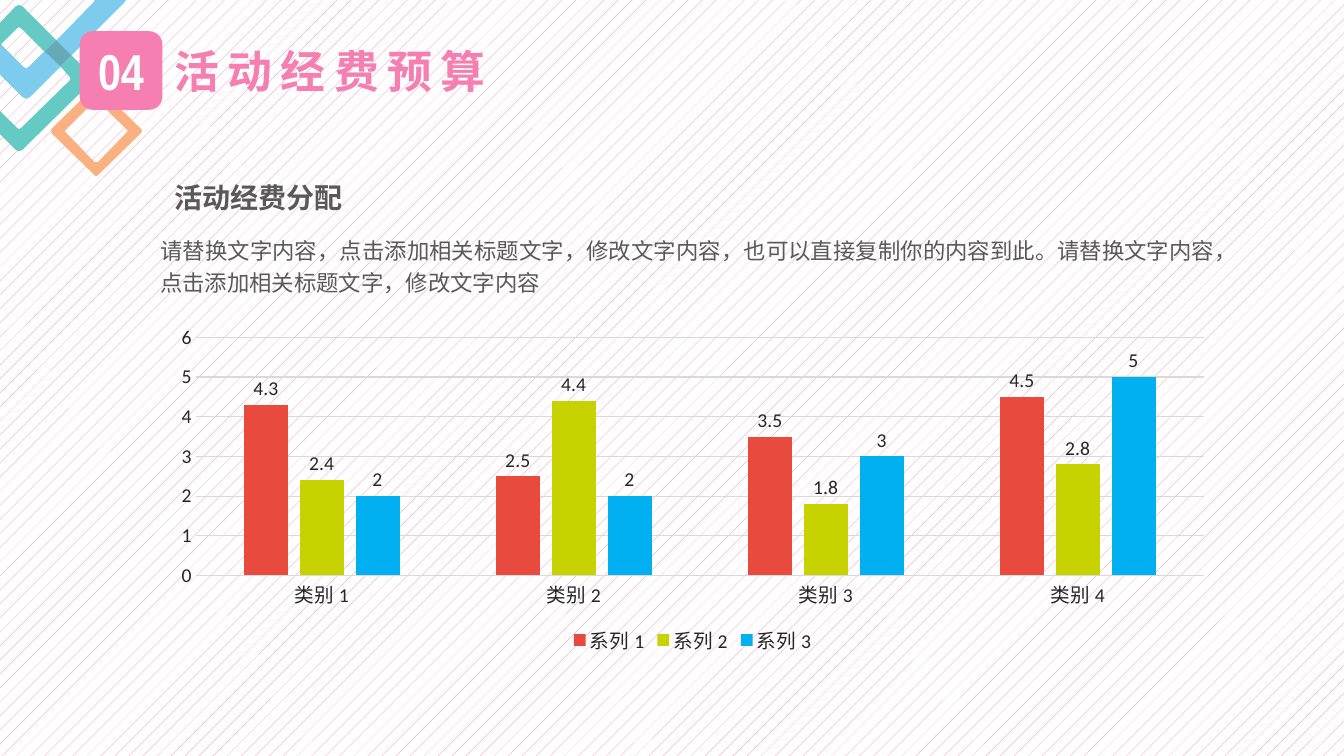
import pptx
import pptx.util
import pptx.dml.color
import pptx.chart.data
import pptx.enum.chart
import pptx.enum.dml
import pptx.enum.shapes
import pptx.enum.text
import pptx.oxml.ns
import lxml.etree

Inches = pptx.util.Inches
RGBColor = pptx.dml.color.RGBColor
ALIGN = pptx.enum.text.PP_ALIGN
ANCHOR = pptx.enum.text.MSO_ANCHOR

PINK = RGBColor(0xF5, 0x7F, 0xB0)
WHITE = RGBColor(0xFF, 0xFF, 0xFF)
BLUE = RGBColor(0x7D, 0xCC, 0xED)
TEAL = RGBColor(0x66, 0xCA, 0xC4)
OVERLAP = RGBColor(0x66, 0xA9, 0xB9)
ORANGE = RGBColor(0xFA, 0xB0, 0x81)
GREY = RGBColor(0x59, 0x59, 0x59)
DARK = RGBColor(0x26, 0x26, 0x26)
GRID = RGBColor(0xD9, 0xD9, 0xD9)
SERIES_COLORS = [RGBColor(0xE8, 0x4B, 0x3D), RGBColor(0xC7, 0xD3, 0x00), RGBColor(0x00, 0xB0, 0xF0)]
CJK_FONT = "Noto Sans CJK SC"


def write_text(shape, text, size, color, font="Arial", bold=False, align=ALIGN.LEFT,
               anchor=ANCHOR.TOP, inset=None, wrap=True, line_spacing=None, tracking=0):
    frame = shape.text_frame
    frame.word_wrap = wrap
    frame.auto_size = pptx.enum.text.MSO_AUTO_SIZE.SHAPE_TO_FIT_TEXT
    frame.vertical_anchor = anchor
    if inset is not None:
        frame.margin_left = frame.margin_right = Inches(inset)
        frame.margin_top = frame.margin_bottom = Inches(inset)
    paragraph = frame.paragraphs[0]
    paragraph.alignment = align
    if line_spacing:
        paragraph.line_spacing = line_spacing
    run = paragraph.add_run()
    run.text = text
    run.font.size = pptx.util.Pt(size)
    run.font.name = font
    run.font.bold = bold
    run.font.color.rgb = color
    properties = run.font._element
    if tracking:
        properties.set("spc", str(tracking * 100))
    east_asian = lxml.etree.Element(pptx.oxml.ns.qn("a:ea"), typeface=CJK_FONT)
    properties.find(pptx.oxml.ns.qn("a:latin")).addnext(east_asian)


presentation = pptx.Presentation()
presentation.slide_width = Inches(13.33)
presentation.slide_height = Inches(7.5)
slide = presentation.slides.add_slide(presentation.slide_layouts[5])

# Patterned background
background = slide.background.fill
background.patterned()
background.pattern = pptx.enum.dml.MSO_PATTERN.PERCENT_5
background.fore_color.rgb = PINK
background.back_color.rgb = WHITE

# Corner diamonds: outlines in hundredths of an inch
blue_outlines = [
    [(1, 44), (-14, 60), (22, 96), (26, 98), (30, 96), (60, 66), (44, 51), (29, 66), (26, 68), (23, 66)],
    [(-29, -47), (-71, -5), (-73, -1), (-71, 3), (-26, 48), (-10, 33), (-41, 2), (-42, -1),
     (-41, -3), (-14, -31)],
    [(75, -53), (59, -37), (93, -3), (94, 0), (93, 2), (56, 40), (71, 55), (123, 3), (125, -1), (123, -5)],
    [(26, -99), (22, -98), (-14, -62), (2, -47), (23, -68), (26, -69), (29, -68), (44, -53),
     (59, -68), (30, -98)],
]
teal_outlines = [
    [(-26, 48), (-52, 75), (-54, 78), (-52, 81), (16, 149), (19, 150), (22, 149), (91, 81), (92, 78),
     (91, 75), (71, 55), (60, 66), (69, 76), (70, 78), (69, 80), (21, 127), (19, 128), (17, 127),
     (-30, 80), (-31, 78), (-30, 76), (-14, 60)],
    [(19, 5), (16, 6), (-10, 33), (1, 44), (17, 28), (19, 27), (21, 28), (44, 51), (56, 40), (22, 6)],
]
overlap_outlines = [
    [(56, 40), (44, 51), (60, 66), (71, 55)],
    [(-10, 33), (-26, 48), (-14, 60), (1, 44)],
]
orange_outlines = [
    [(95, 161), (94, 161), (65, 131), (64, 130), (65, 129), (94, 100), (95, 99), (97, 100),
     (126, 129), (127, 130), (126, 131), (97, 161)],
    [(95, 85), (94, 86), (51, 128), (51, 132), (94, 174), (95, 175), (97, 174), (140, 132),
     (141, 130), (140, 128), (97, 86)],
]
for outlines, color in [(blue_outlines, BLUE), (teal_outlines, TEAL),
                        (overlap_outlines, OVERLAP), (orange_outlines, ORANGE)]:
    builder = slide.shapes.build_freeform(*outlines[0][0], scale=Inches(0.01))
    for outline in outlines:
        if outline is not outlines[0]:
            builder.move_to(*outline[0])
        builder.add_line_segments(outline[1:], close=True)
    diamond = builder.convert_to_shape()
    diamond.shadow.inherit = False
    diamond.fill.solid()
    diamond.fill.fore_color.rgb = color
    diamond.line.fill.background()

# Section number and title
badge = slide.shapes.add_shape(pptx.enum.shapes.MSO_SHAPE.ROUNDED_RECTANGLE,
                               Inches(0.79), Inches(0.31), Inches(0.82), Inches(0.78))
badge.shadow.inherit = False
badge.fill.solid()
badge.fill.fore_color.rgb = PINK
badge.line.fill.background()
write_text(badge, "04", 36, WHITE, font="Arial Narrow", bold=True, align=ALIGN.CENTER, anchor=ANCHOR.MIDDLE)

title = slide.shapes.title
title.left, title.top, title.width, title.height = Inches(1.63), Inches(0.38), Inches(4.38), Inches(0.64)
write_text(title, "活动经费预算", 32, PINK, font=CJK_FONT, bold=True, tracking=6)

# Subheading and description
subheading = slide.shapes.add_textbox(Inches(1.73), Inches(1.72), Inches(1.68), Inches(0.4))
write_text(subheading, "活动经费分配", 20, GREY, bold=True, align=ALIGN.JUSTIFY, inset=0,
           wrap=False, line_spacing=1.2)
description = slide.shapes.add_textbox(Inches(1.59), Inches(2.3), Inches(10.69), Inches(0.65))
write_text(description,
           "请替换文字内容，点击添加相关标题文字，修改文字内容，也可以直接复制你的内容到此。"
           "请替换文字内容，点击添加相关标题文字，修改文字内容",
           16, GREY, align=ALIGN.JUSTIFY, inset=0, line_spacing=1.2)

# Budget chart
chart_data = pptx.chart.data.CategoryChartData()
chart_data.categories = ["类别 1", "类别 2", "类别 3", "类别 4"]
chart_data.add_series("系列 1", (4.3, 2.5, 3.5, 4.5))
chart_data.add_series("系列 2", (2.4, 4.4, 1.8, 2.8))
chart_data.add_series("系列 3", (2, 2, 3, 5))
chart = slide.shapes.add_chart(pptx.enum.chart.XL_CHART_TYPE.COLUMN_CLUSTERED, Inches(1.59), Inches(3.16),
                               Inches(10.56), Inches(3.37), chart_data).chart
chart.font.size = pptx.util.Pt(14)
chart.font.name = "Calibri"
chart.font.color.rgb = DARK
chart.has_title = False
chart.has_legend = True
chart.legend.position = pptx.enum.chart.XL_LEGEND_POSITION.BOTTOM
chart.legend.include_in_layout = False

for axis in (chart.category_axis, chart.value_axis):
    axis.major_tick_mark = axis.minor_tick_mark = pptx.enum.chart.XL_TICK_MARK.NONE
chart.value_axis.format.line.fill.background()
chart.value_axis.has_major_gridlines = True
for line in (chart.category_axis.format.line, chart.value_axis.major_gridlines.format.line):
    line.color.rgb = GRID
    line.width = pptx.util.Pt(0.75)
chart.value_axis.minimum_scale = 0
chart.value_axis.maximum_scale = 6
chart.value_axis.major_unit = 1

plot = chart.plots[0]
plot.gap_width = 219
plot.overlap = -27
plot.vary_by_categories = False
for series, color in zip(plot.series, SERIES_COLORS):
    series.format.fill.solid()
    series.format.fill.fore_color.rgb = color
    series.data_labels.show_value = True
    series.data_labels.position = pptx.enum.chart.XL_LABEL_POSITION.OUTSIDE_END

presentation.save("out.pptx")
